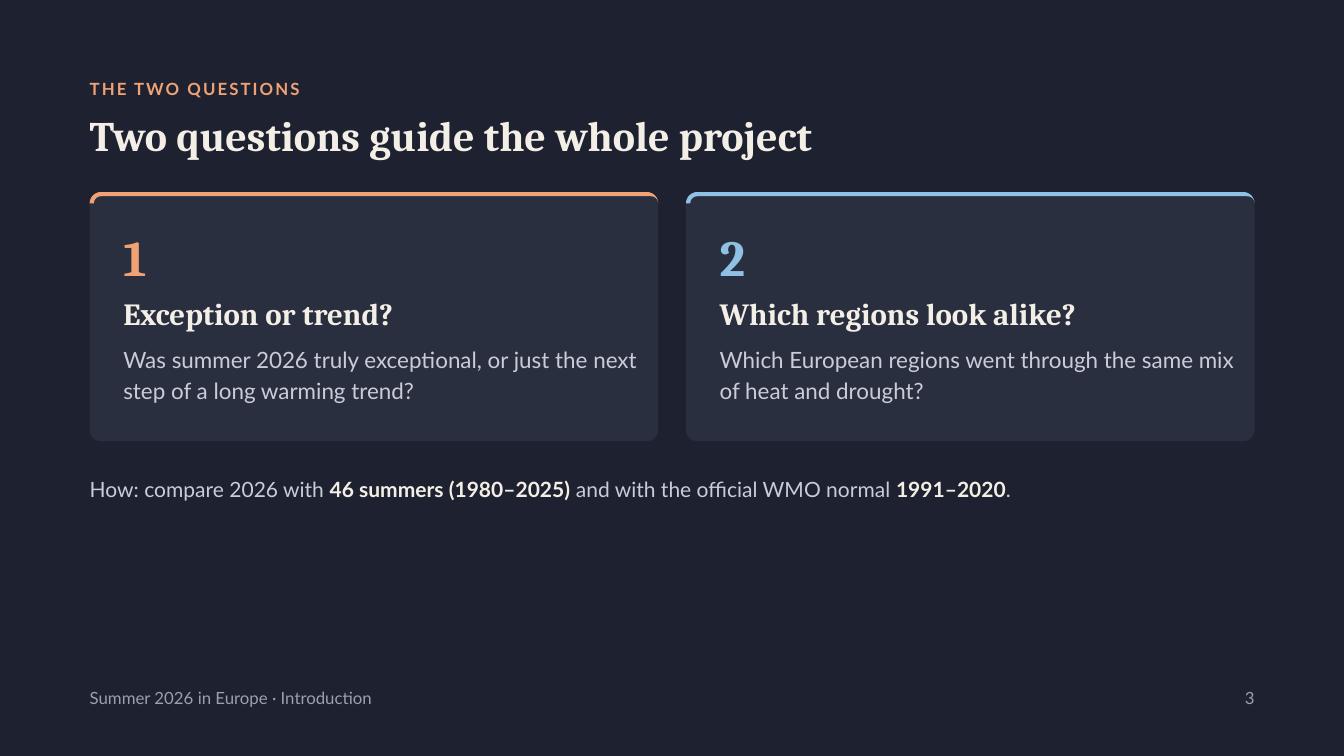
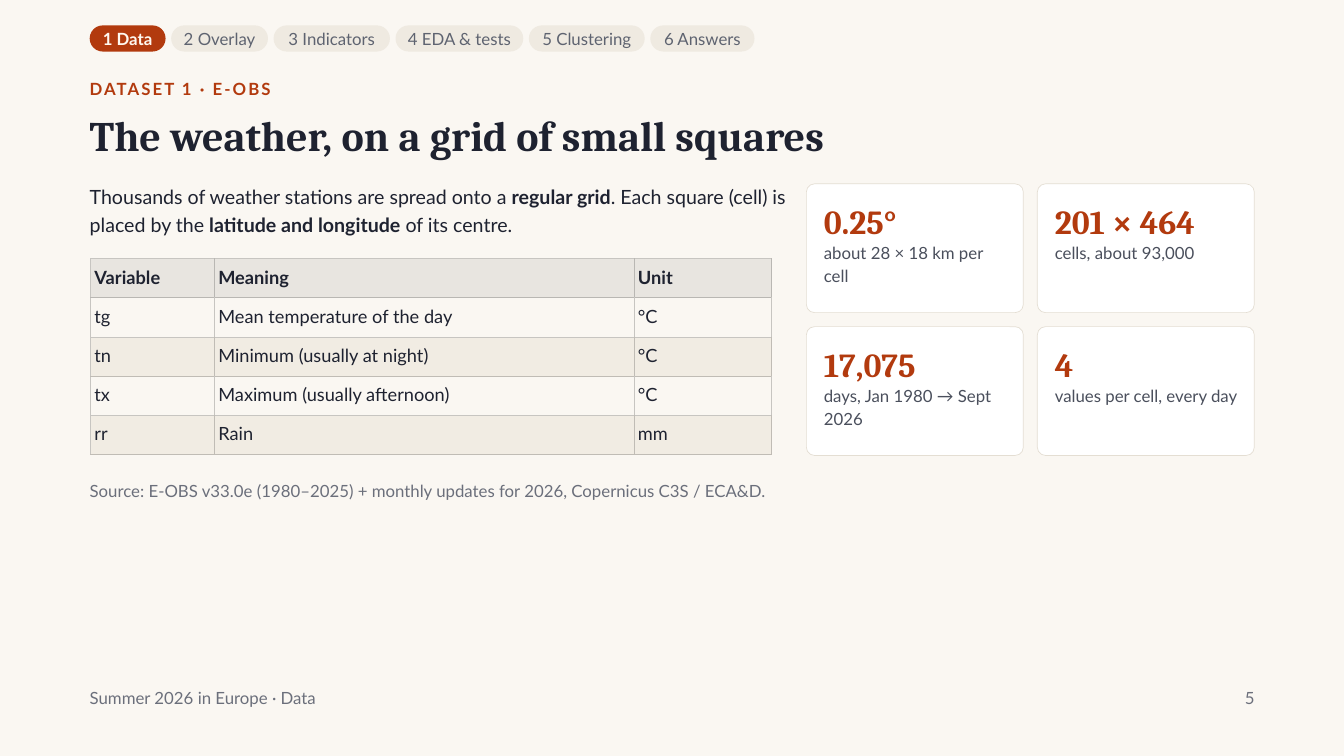
from math import cos, radians, sin

from lxml import etree
from pptx import Presentation
from pptx.dml.color import RGBColor
from pptx.enum.shapes import MSO_SHAPE
from pptx.enum.text import MSO_ANCHOR, MSO_AUTO_SIZE, PP_ALIGN
from pptx.oxml.ns import qn
from pptx.util import Cm, Pt

ROUND = MSO_SHAPE.ROUNDED_RECTANGLE
LEFT, RIGHT, CENTER = PP_ALIGN.LEFT, PP_ALIGN.RIGHT, PP_ALIGN.CENTER
MIDDLE = MSO_ANCHOR.MIDDLE
GROW = MSO_AUTO_SIZE.SHAPE_TO_FIT_TEXT

HEAD, BODY = "Cambria", "Lato"
EDGE, WIDE = 3.39, 45.34

COLORS = {
    "night": "1E2230",
    "panel": "2A2F40",
    "cream": "F4EFE6",
    "mist": "C9CDD8",
    "haze": "9AA0AE",
    "peach": "F0A274",
    "sky": "8EC1E3",
    "paper": "FAF7F2",
    "white": "FFFFFF",
    "rust": "B23A0E",
    "glow": "FFF8F0",
    "sand": "EFEAE1",
    "slate": "5E6370",
    "stone": "6B6F7B",
    "ink": "4A4F5C",
    "rim": "E4DED3",
    "header": "E8E5E0",
    "stripe": "F1ECE3",
    "header rule": "B9B7B3",
    "plain rule": "C7C5C1",
    "stripe rule": "C0BCB5",
}

DARK = {"back": "night", "kicker": "peach", "title": "cream", "foot": "haze"}
LIGHT = {"back": "paper", "kicker": "rust", "title": "night", "foot": "stone"}


def rgb(name):
    return RGBColor.from_string(COLORS[name])


def write(frame, text, size=18, color="night", font=BODY, bold=False,
          lead=25.2, align=LEFT, track=0, strong=None):
    para = frame.paragraphs[0]
    para.alignment = align
    para.line_spacing = Pt(lead)
    for i, part in enumerate(text.split("**")):
        if not part:
            continue
        marked = i % 2 == 1
        run = para.add_run()
        run.text = part
        run.font.name = font
        run.font.size = Pt(size)
        run.font.bold = bold or marked
        run.font.color.rgb = rgb(strong if marked and strong else color)
        if track:
            run._r.get_or_add_rPr().set("spc", str(round(track * 100)))


def arc(x, y, wide, high, start, end, steps=8):
    angles = [radians(start + (end - start) * i / steps) for i in range(steps + 1)]
    return [(Cm(x + wide * cos(a)), Cm(y + high * sin(a))) for a in angles]


def rule(cell, side, color):
    line = etree.SubElement(cell._tc.get_or_add_tcPr(), qn(f"a:ln{side}"), w=str(Pt(1)))
    fill = etree.SubElement(line, qn("a:solidFill"))
    etree.SubElement(fill, qn("a:srgbClr"), val=COLORS[color])


class Deck:
    def __init__(self):
        self.show = Presentation()
        self.show.slide_width = Cm(50.8)
        self.show.slide_height = Cm(28.58)

    def page(self, look, kicker, title, foot, number):
        self.slide = self.show.slides.add_slide(self.show.slide_layouts[6])
        back = self.slide.background.fill
        back.solid()
        back.fore_color.rgb = rgb(look["back"])
        self.text(EDGE, 2.84, WIDE, 1.09, kicker, color=look["kicker"],
                  bold=True, track=2.2)
        self.text(EDGE, 4.24, WIDE, 1.85, title, size=45, color=look["title"],
                  font=HEAD, bold=True, lead=51.7)
        self.text(EDGE, 25.88, 38.15, 1.09, f"Summer 2026 in Europe · {foot}",
                  color=look["foot"])
        self.text(44.03, 25.88, 3.39, 1.09, number, color=look["foot"], align=RIGHT)

    def text(self, x, y, w, h, text, **style):
        frame = self.slide.shapes.add_textbox(Cm(x), Cm(y), Cm(w), Cm(h)).text_frame
        frame.word_wrap = True
        frame.auto_size = GROW
        frame.margin_left = frame.margin_right = 0
        frame.margin_top = frame.margin_bottom = 0
        write(frame, text, **style)

    def paint(self, shape, fill, line=None):
        shape.shadow.inherit = False
        shape.fill.solid()
        shape.fill.fore_color.rgb = rgb(fill)
        if line:
            shape.line.color.rgb = rgb(line)
            shape.line.width = Pt(0.75)
        else:
            shape.line.fill.background()

    def box(self, x, y, w, h, radius, fill, line=None):
        shape = self.slide.shapes.add_shape(ROUND, Cm(x), Cm(y), Cm(w), Cm(h))
        shape.adjustments[0] = radius / min(w, h)
        self.paint(shape, fill, line)
        return shape

    def pill(self, x, y, w, h, text, active):
        fill, color = ("rust", "glow") if active else ("sand", "slate")
        frame = self.box(x, y, w, h, h / 2, fill).text_frame
        frame.word_wrap = False
        frame.vertical_anchor = MIDDLE
        frame.margin_left = frame.margin_right = frame.margin_top = 0
        frame.margin_bottom = Cm(0.12)
        write(frame, text, color=color, bold=active, align=CENTER)

    def band(self, x, y, w, color):
        outer, inner, thick = 0.43, 0.27, 0.16
        base = y + outer
        points = (arc(x + outer, base, outer, outer, 180, 270)
                  + arc(x + w - outer, base, outer, outer, 270, 360)
                  + arc(x + w - inner, base, inner, outer - thick, 360, 270)
                  + arc(x + outer, base, inner, outer - thick, 270, 180))
        path = self.slide.shapes.build_freeform(*points[0])
        path.add_line_segments(points[1:], close=True)
        self.paint(path.convert_to_shape(), color)

    def card(self, x, y, number, title, body, color):
        w, left = 21.49, x + 1.27
        self.box(x, y, w, 9.42, 0.43, "panel")
        self.band(x, y, w, color)
        self.text(left, y + 1.68, 19.5, 1.75, number, size=54, color=color,
                  font=HEAD, bold=True, lead=54)
        self.text(left, y + 3.89, 19.5, 1.47, title, size=33, color="cream",
                  font=HEAD, bold=True, lead=39.6)
        self.text(left, y + 5.64, 19.5, 2.62, body, size=24, color="mist", lead=33.6)

    def stat(self, x, y, value, label):
        self.box(x, y, 8.2, 4.87, 0.31, "white", "rim")
        self.text(x + 0.66, y + 0.76, 7.11, 1.4, value, size=36, color="rust",
                  font=HEAD, bold=True, lead=39.6)
        self.text(x + 0.66, y + 2.14, 7.11, 1.9, label, color="ink", lead=24.3)

    def table(self, x, y, widths, high, rows):
        grid = self.slide.shapes.add_table(
            len(rows), len(widths), Cm(x), Cm(y), Cm(sum(widths)), Cm(high * len(rows))
        ).table
        grid.first_row = grid.horz_banding = False
        for col, width in zip(grid.columns, widths):
            col.width = Cm(width)
        above = "plain"
        for r, row in enumerate(rows):
            kind = "header" if r == 0 else "plain" if r % 2 else "stripe"
            grid.rows[r].height = Cm(high)
            for c, text in enumerate(row):
                cell = grid.cell(r, c)
                cell.margin_left = cell.margin_right = Cm(0.15)
                cell.margin_top = cell.margin_bottom = Cm(0.15)
                sides = {"L": kind if c else "plain", "R": kind, "T": above, "B": kind}
                for side, tone in sides.items():
                    rule(cell, side, f"{tone} rule")
                if kind == "plain":
                    cell.fill.background()
                else:
                    cell.fill.solid()
                    cell.fill.fore_color.rgb = rgb(kind)
                write(cell.text_frame, text, size=19.5, bold=r == 0, lead=27.3)
            above = kind


def ask(deck):
    deck.page(DARK, "THE TWO QUESTIONS", "Two questions guide the whole project",
              "Introduction", "3")
    cards = [
        ("1", "Exception or trend?",
         "Was summer 2026 truly exceptional, or just the next step of a long warming trend?",
         "peach"),
        ("2", "Which regions look alike?",
         "Which European regions went through the same mix of heat and drought?",
         "sky"),
    ]
    for i, card in enumerate(cards):
        deck.card(EDGE + 22.54 * i, 7.26, *card)
    deck.text(EDGE, 17.86, WIDE, 1.32,
              "How: compare 2026 with **46 summers (1980–2025)** and with the "
              "official WMO normal **1991–2020**.",
              size=22.5, color="mist", strong="cream", lead=31.5)


def data(deck):
    deck.page(LIGHT, "DATASET 1 · E-OBS", "The weather, on a grid of small squares",
              "Data", "5")
    steps = [("1 Data", 2.87), ("2 Overlay", 3.66), ("3 Indicators", 4.4),
             ("4 EDA & tests", 4.83), ("5 Clustering", 4.38), ("6 Answers", 3.94)]
    x = EDGE
    for i, (step, width) in enumerate(steps):
        deck.pill(x, 0.96, width, 0.99, step, i == 0)
        x += width + 0.21
    deck.text(EDGE, 6.79, 26.6, 2.41,
              "Thousands of weather stations are spread onto a **regular grid**. Each "
              "square (cell) is placed by the **latitude and longitude** of its centre.",
              size=21, lead=30.4)
    deck.table(3.42, 9.78, [4.68, 15.86, 5.18], 1.48, [
        ("Variable", "Meaning", "Unit"),
        ("tg", "Mean temperature of the day", "°C"),
        ("tn", "Minimum (usually at night)", "°C"),
        ("tx", "Maximum (usually afternoon)", "°C"),
        ("rr", "Rain", "mm"),
    ])
    stats = [
        ("0.25°", "about 28 × 18 km per cell"),
        ("201 × 464", "cells, about 93,000"),
        ("17,075", "days, Jan 1980 → Sept 2026"),
        ("4", "values per cell, every day"),
    ]
    for i, stat in enumerate(stats):
        row, col = divmod(i, 2)
        deck.stat(30.48 + 8.73 * col, 6.95 + 5.4 * row, *stat)
    deck.text(EDGE, 18.06, WIDE, 1.09,
              "Source: E-OBS v33.0e (1980–2025) + monthly updates for 2026, "
              "Copernicus C3S / ECA&D.", color="stone")


def main():
    deck = Deck()
    ask(deck)
    data(deck)
    deck.show.save("out.pptx")


if __name__ == "__main__":
    main()
